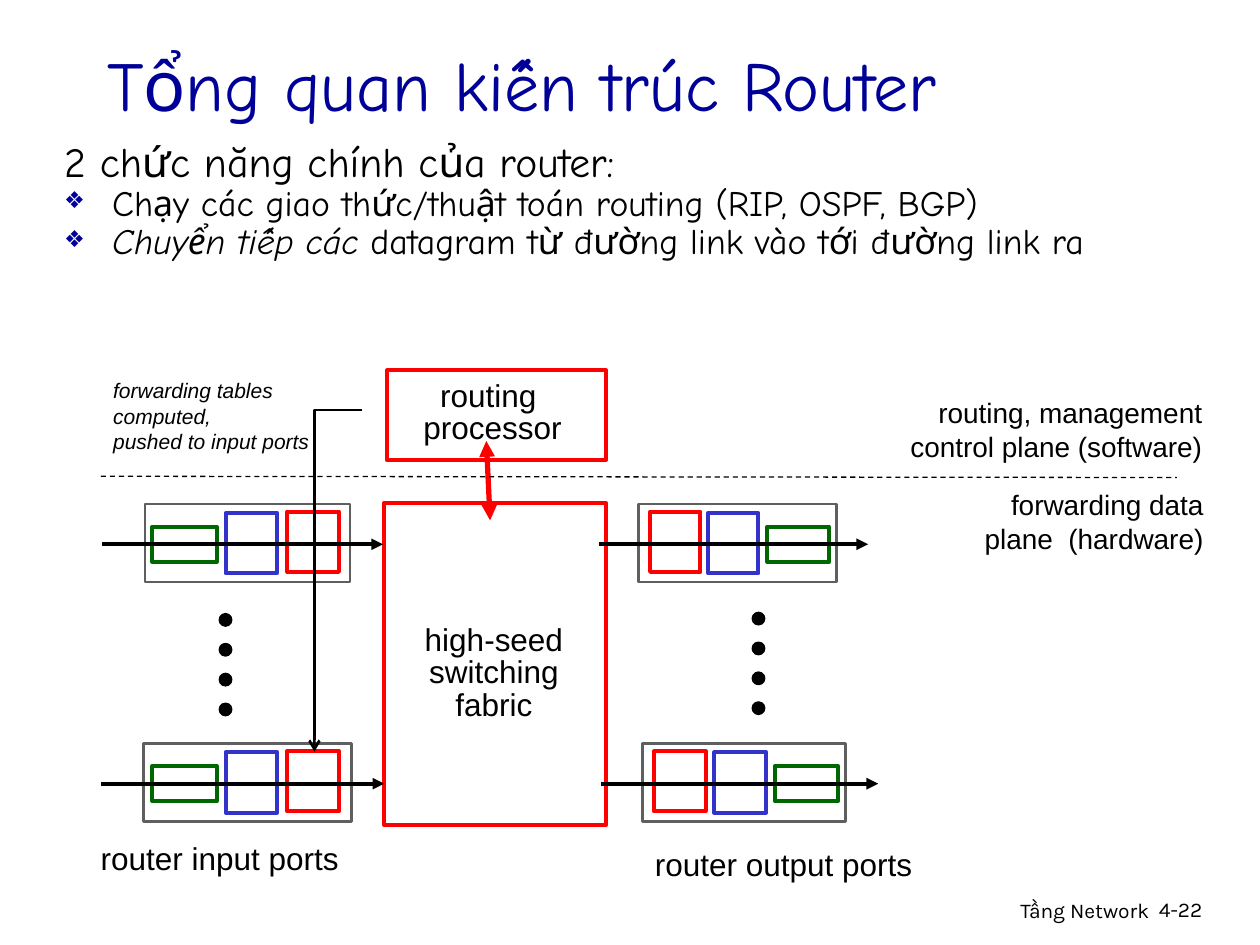
from pptx import Presentation, util as u
from pptx.dml.color import RGBColor
from pptx.enum import dml, shapes, text
from pptx.oxml import parse_xml
from pptx.oxml.ns import nsdecls, qn
from lxml import etree

Inches = u.Inches
theme = {
    "ink": "000000", "paper": "FFFFFF", "title": "000099", "red": "FF0000",
    "green": "006600", "blue": "3333CC", "gray": "5F5F5F",
    "title_size": 40, "lead_size": 23.8, "bullet_size": 20.4,
    "label_size": 18, "plane_size": 16, "small_size": 12,
    "hand": "Comic Neue", "label": "Arial", "footer": "Karla",
}
LEFT, CENTER, RIGHT = text.PP_ALIGN.LEFT, text.PP_ALIGN.CENTER, text.PP_ALIGN.RIGHT

deck = Presentation()
deck.slide_width, deck.slide_height = Inches(10), Inches(7.5)
page = deck.slides.add_slide(deck.slide_layouts[1])


def write_text(words, at, box=None, size="label_size", font="label", color="ink",
               align=LEFT, spacing=None, italic=None, wrap=False, grow=True,
               anchor=text.MSO_ANCHOR.TOP):
    """Write one paragraph per line of words into a new or given box."""
    place = [Inches(value) for value in at]
    if box is None:
        box = page.shapes.add_textbox(*place)
    box.left, box.top, box.width, box.height = place
    frame = box.text_frame
    frame.text = words
    frame.word_wrap = wrap
    frame.vertical_anchor = anchor
    fit = text.MSO_AUTO_SIZE
    frame.auto_size = fit.SHAPE_TO_FIT_TEXT if grow else fit.NONE
    for para in frame.paragraphs:
        para.alignment = align
        para.line_spacing = spacing
        for span in para.runs:
            span.font.size = u.Pt(theme[size])
            span.font.name = theme[font]
            span.font.color.rgb = RGBColor.from_string(theme[color])
            span.font.italic = italic
    return box


def draw_line(start, end, color="ink", weight=2.25, head=None, tail=None,
              kind=shapes.MSO_CONNECTOR.STRAIGHT):
    """Draw a connector with optional arrowheads at its start and end."""
    line = page.shapes.add_connector(kind, *[Inches(v) for v in (*start, *end)])
    line.line.color.rgb = RGBColor.from_string(theme[color])
    line.line.width = u.Pt(weight)
    outline = line.line._get_or_add_ln()
    for tag, arrow in (("a:headEnd", head), ("a:tailEnd", tail)):
        if arrow:
            etree.SubElement(outline, qn(tag), type=arrow)
    etree.SubElement(line._element.spPr, qn("a:effectLst"))
    return line


# Title
write_text("Tổng quan kiến trúc Router", (0.75, 0.33, 8.5, 0.67), page.shapes.title,
           size="title_size", font="hand", color="title", wrap=True, grow=False,
           anchor=text.MSO_ANCHOR.MIDDLE)

# Body list: a plain lead line and two bullets
body = write_text(
    "2 chức năng chính của router:\n"
    "Chạy các giao thức/thuật toán routing (RIP, OSPF, BGP)\n"
    "Chuyển tiếp các ",
    (0.41, 1.15, 9.5, 1), page.placeholders[1], size="bullet_size", font="hand",
    spacing=0.65, wrap=True, grow=False)
lead, *bullets = body.text_frame.paragraphs
lead.runs[0].font.size = u.Pt(theme["lead_size"])
lead.space_before = u.Pt(0)
for para in (lead, *bullets):
    properties = para._p.get_or_add_pPr()
    properties.set("marL", str(Inches(0.38)))
    properties.set("indent", str(Inches(-0.38)))
etree.SubElement(lead._p.pPr, qn("a:buNone"))
for para in bullets:
    para.space_before = u.Pt(6)
    for bullet in (f'<a:buClr {nsdecls("a")}><a:srgbClr val="{theme["title"]}"/></a:buClr>',
                   f'<a:buSzPct {nsdecls("a")} val="65000"/>',
                   f'<a:buChar {nsdecls("a")} char="❖"/>'):
        para._p.pPr.append(parse_xml(bullet))
forwarding = bullets[1]
forwarding.runs[0].font.italic = True
span = forwarding.add_run()
span.text = "datagram từ đường link vào tới đường link ra"
span.font.size = u.Pt(theme["bullet_size"])
span.font.name = theme["hand"]
span.font.color.rgb = RGBColor.from_string(theme["ink"])

# Ports: top, frame (left, width), lefts of green, blue and red, box widths, arrow
ports = [
    (4.00, (1.15, 1.63), (1.21, 1.79, 2.28), (0.51, 0.41), (0.81, 3.04)),
    (5.90, (1.14, 1.65), (1.21, 1.79, 2.28), (0.51, 0.41), (0.80, 3.05)),
    (4.00, (5.07, 1.57), (6.09, 5.62, 5.16), (0.49, 0.40), (4.75, 6.89)),
    (5.90, (5.10, 1.61), (6.15, 5.67, 5.19), (0.50, 0.41), (4.77, 6.97)),
]
RECT, DOT = shapes.MSO_SHAPE.RECTANGLE, shapes.MSO_SHAPE.OVAL
parts = [
    (RECT, (3.05, 3.99, 1.76, 2.56), "paper", "red", 2.25),  # switching fabric
    (RECT, (3.07, 2.94, 1.74, 0.71), "paper", "red", 2.25),  # routing processor
]
for top, (left, width), (green, blue, red), (wide, narrow), _ in ports:
    parts += [
        (RECT, (left, top, width, 0.62), "paper", "gray", 1.5),
        (RECT, (green, top + 0.18, wide, 0.28), "paper", "green", 2.25),
        (RECT, (blue, top + 0.07, narrow, 0.48), "paper", "blue", 2.25),
        (RECT, (red, top + 0.06, narrow, 0.48), "paper", "red", 2.25),
    ]

# Dots standing for the ports in between
for left, top in ((1.74, 4.87), (5.97, 4.86)):
    for step in range(4):
        parts.append((DOT, (left, top + 0.237 * step, 0.1, 0.1), "ink", "ink", 0.75))

for kind, at, fill, edge, weight in parts:
    shape = page.shapes.add_shape(kind, *[Inches(value) for value in at])
    shape.shadow.inherit = False
    shape.fill.solid()
    shape.fill.fore_color.rgb = RGBColor.from_string(theme[fill])
    shape.line.color.rgb = RGBColor.from_string(theme[edge])
    shape.line.width = u.Pt(weight)

# Arrows through the ports, processor link and plane divider
for top, _, _, _, (start, end) in ports:
    draw_line((start, top + 0.32), (end, top + 0.32), tail="triangle")
draw_line((3.86, 3.5), (3.89, 4.13), "red", 3, head="triangle", tail="triangle")
divider = draw_line((0.8, 3.78), (9.34, 3.79), weight=0.75)
divider.line.dash_style = dml.MSO_LINE.DASH

# Elbow arrow from the note to the lower input port, turned a quarter
elbow = draw_line((1.33, 4.42), (4.04, 4.8), weight=1.5, tail="arrow",
                  kind=shapes.MSO_CONNECTOR.ELBOW)
elbow._element.spPr.find(qn("a:xfrm")).set("rot", "5400000")
guides = elbow._element.spPr.find(qn("a:prstGeom")).get_or_add_avLst()
etree.SubElement(guides, qn("a:gd"), name="adj1", fmla="val 0")

# Diagram labels
write_text("high-seed \nswitching\nfabric", (3.24, 4.92, 1.36, 0.87),
           align=CENTER, spacing=0.85)
write_text("routing \nprocessor", (3.26, 2.98, 1.3, 0.61), align=CENTER, spacing=0.85)
write_text("router input ports", (0.7, 6.61, 2.09, 0.4))
write_text("router output ports", (5.1, 6.66, 2.24, 0.4))
write_text("forwarding data plane  (hardware)", (7.53, 3.82, 2.12, 0.64),
           size="plane_size", align=RIGHT, wrap=True)
write_text("routing, management\ncontrol plane (software)", (6.96, 3.09, 2.68, 0.64),
           size="plane_size", align=RIGHT, wrap=True)
write_text("forwarding tables computed,\npushed to input ports",
           (0.8, 2.95, 2.29, 0.5), size="small_size", italic=True)

# Footer
write_text("Tầng Network", (6.05, 7.07, 3.17, 0.31), size="small_size",
           font="footer", align=RIGHT, wrap=True, grow=False)
write_text("4-22", (9.1, 7.07, 0.74, 0.3), size="small_size", font="footer",
           wrap=True, grow=False)

deck.save("out.pptx")
